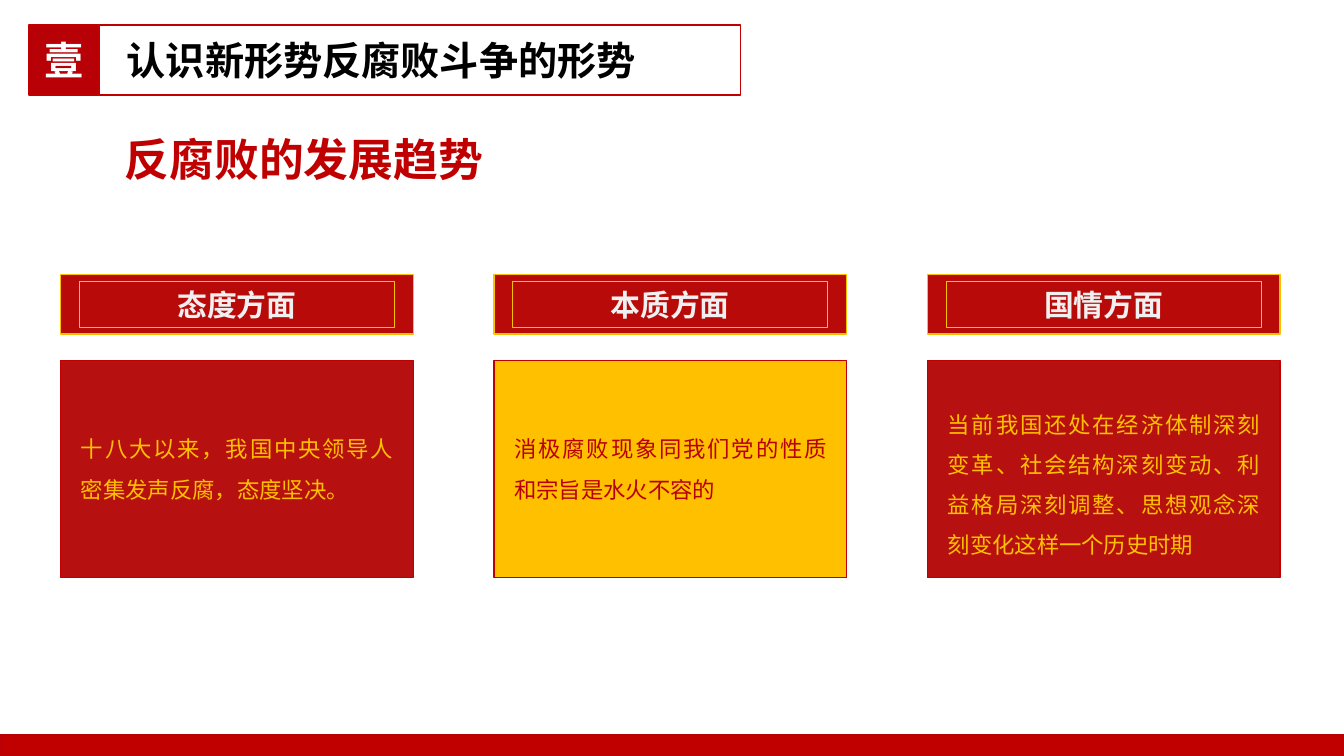
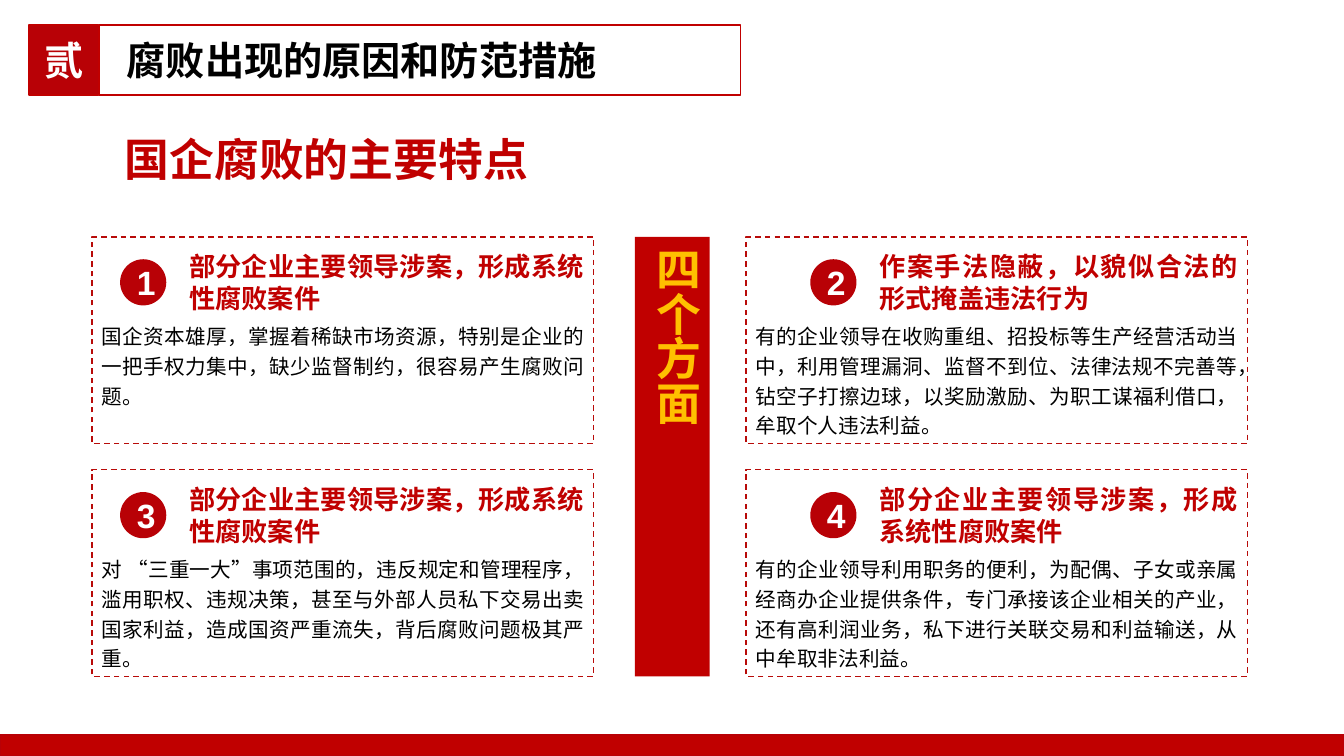
"""Build two slides on the trend and the features of corruption."""
from pptx import Presentation
from pptx.dml.color import RGBColor
from pptx.enum import dml, shapes, text
from pptx.util import Pt

RED, DEEP, BRICK, LABEL = "C00000", "B80106", "B61110", "B80B09"
GOLD, WHITE, PALE, BLACK = "FFC000", "FFFFFF", "F0F0F0", "000000"
RECT, OVAL = shapes.MSO_SHAPE.RECTANGLE, shapes.MSO_SHAPE.OVAL
LEFT, CENTER, JUSTIFY = text.PP_ALIGN.LEFT, text.PP_ALIGN.CENTER, text.PP_ALIGN.JUSTIFY
TOP, MIDDLE = text.MSO_ANCHOR.TOP, text.MSO_ANCHOR.MIDDLE
WIDTH, HEIGHT = 960, 540

STYLES = {
    "subtitle": dict(size=32, color=RED, bold=True),
    "numeral": dict(size=28, color=WHITE, bold=True, align=CENTER, anchor=MIDDLE),
    "title": dict(size=28, color=BLACK, bold=True, anchor=MIDDLE, inset=(20, 3.6)),
    "label": dict(size=21.3, color=PALE, bold=True, align=CENTER, anchor=MIDDLE),
    "panel": dict(size=16, color=GOLD, align=JUSTIFY, spacing=1.5, inset=(9.6, 4.8)),
    "heading": dict(size=18.7, color=RED, bold=True, align=JUSTIFY),
    "body": dict(size=14.7, color=BLACK, align=JUSTIFY, spacing=1.2),
    "badge": dict(size=24, color=WHITE, bold=True, align=CENTER, anchor=MIDDLE),
    "pillar": dict(size=32, color=GOLD, bold=True),
}

TRENDS = dict(
    numeral="壹", title="认识新形势反腐败斗争的形势", subtitle="反腐败的发展趋势",
    panels=[
        ("态度方面", "十八大以来，我国中央领导人密集发声反腐，态度坚决。", BRICK, GOLD, 296.6),
        ("本质方面", "消极腐败现象同我们党的性质和宗旨是水火不容的", GOLD, DEEP, 296.6),
        ("国情方面", "当前我国还处在经济体制深刻变革、社会结构深刻变动、利益格局深刻调整、"
         "思想观念深刻变化这样一个历史时期", BRICK, GOLD, 279),
    ])
FEATURES = dict(
    numeral="贰", title="腐败出现的原因和防范措施", subtitle="国企腐败的主要特点",
    pillar="四个方面",
    cards=[
        ("部分企业主要领导涉案，形成系统性腐败案件",
         "国企资本雄厚，掌握着稀缺市场资源，特别是企业的一把手权力集中，缺少监督制约，"
         "很容易产生腐败问题。"),
        ("作案手法隐蔽，以貌似合法的形式掩盖违法行为",
         "有的企业领导在收购重组、招投标等生产经营活动当中，利用管理漏洞、监督不到位、"
         "法律法规不完善等，钻空子打擦边球，以奖励激励、为职工谋福利借口，牟取个人违法利益。"),
        ("部分企业主要领导涉案，形成系统性腐败案件",
         "对 “三重一大”事项范围的，违反规定和管理程序，滥用职权、违规决策，"
         "甚至与外部人员私下交易出卖国家利益，造成国资严重流失，背后腐败问题极其严重。"),
        ("部分企业主要领导涉案，形成系统性腐败案件",
         "有的企业领导利用职务的便利，为配偶、子女或亲属经商办企业提供条件，"
         "专门承接该企业相关的产业，还有高利润业务，私下进行关联交易和利益输送，"
         "从中牟取非法利益。"),
    ])


def rgb(value):
    """Turn a hex string into a colour."""
    return RGBColor.from_string(value)


def write(box, words, style, **changes):
    """Put one styled paragraph into a box."""
    look = {**STYLES[style], **changes}
    side, edge = look.get("inset", (7.2, 3.6))
    frame = box.text_frame
    settings = dict(word_wrap=True, vertical_anchor=look.get("anchor", TOP),
                    margin_left=Pt(side), margin_right=Pt(7.2 if style == "title" else side),
                    margin_top=Pt(edge), margin_bottom=Pt(edge))
    for name, value in settings.items():
        setattr(frame, name, value)
    para = frame.paragraphs[0]
    para.alignment = look.get("align", LEFT)
    para.line_spacing = look.get("spacing", 1.0)
    span = para.add_run()
    span.text = words
    font = dict(name="Arial", size=Pt(look["size"]), bold=look.get("bold", False))
    for name, value in font.items():
        setattr(span.font, name, value)
    span.font.color.rgb = rgb(look["color"])


def add_shape(parent, area, fill=None, line=None, weight=1, dash=None, kind=RECT):
    """Add a flat shape with an optional fill and outline."""
    shape = parent.add_shape(kind, *map(Pt, area))
    shape.shadow.inherit = False
    if fill:
        shape.fill.solid()
        shape.fill.fore_color.rgb = rgb(fill)
    else:
        shape.fill.background()
    if line:
        shape.line.color.rgb = rgb(line)
        shape.line.width = Pt(weight)
        shape.line.dash_style = dash
    else:
        shape.line.fill.background()
    return shape


def add_text(parent, area, words, style, **changes):
    """Add a styled text box."""
    write(parent.add_textbox(*map(Pt, area)), words, style, **changes)


def add_page(deck, content):
    """Add a page with the shared band, title bar and subtitle."""
    parts = deck.slides.add_slide(deck.slide_layouts[6]).shapes
    add_shape(parts, (0, 525, WIDTH, 15), RED, DEEP)
    add_text(parts, (82, 90.7, 400, 46), content["subtitle"], "subtitle")
    write(add_shape(parts, (20.6, 18, 50, 50), DEEP, RED), content["numeral"], "numeral")
    write(add_shape(parts, (70.6, 18, 458.6, 50), None, RED), content["title"], "title")
    return parts


def add_panels(parts, panels):
    """Lay out labelled panels in equal columns."""
    left, pitch, width = 43.2, 309.6, 252
    for index, (label, words, fill, color, top) in enumerate(panels):
        x = left + index * pitch
        add_shape(parts, (x, 257.7, width, 155), fill, RED)
        add_text(parts, (x + 5, top, 242.6, 126), words, "panel", color=color)
        group = parts.add_group_shape().shapes
        add_shape(group, (x, 196, width, 42.5), LABEL, GOLD)
        inner = add_shape(group, (x + 13.5, 201, width - 27, 33), None, GOLD, 0.75)
        write(inner, label, "label")


def add_cards(parts, cards):
    """Lay out numbered cards in two rows of two."""
    columns = [(65.8, 20), (532.8, 46)]
    top, pitch, width, height = 169.2, 166.3, 358.4, 147.6
    for index, (heading, words) in enumerate(cards):
        row, column = divmod(index, 2)
        x, indent = columns[column]
        y = top + row * pitch
        shift = indent + 42.4
        group = parts.add_group_shape().shapes
        add_text(group, (x + shift, y + 6.3, width - shift, 52.6), heading, "heading")
        add_text(group, (x, y + 55.4, width, 93), words, "body")
        add_shape(group, (x, y, width, height), None, LABEL,
                  dash=dml.MSO_LINE.DASH)
        badge = add_shape(group, (x + indent, y + 16, 33, 33), DEEP, kind=OVAL)
        write(badge, str(index + 1), "badge")


def add_pillar(parts, words):
    """Add the upright bar between the card columns."""
    pillar = add_shape(parts, (453.6, 169.2, 53.3, 313.9), RED)
    write(pillar, words, "pillar")
    pillar.text_frame._txBody.bodyPr.set("vert", "eaVert")


def main():
    """Build and save the deck."""
    deck = Presentation()
    deck.slide_width, deck.slide_height = Pt(WIDTH), Pt(HEIGHT)
    add_panels(add_page(deck, TRENDS), TRENDS["panels"])
    parts = add_page(deck, FEATURES)
    add_cards(parts, FEATURES["cards"])
    add_pillar(parts, FEATURES["pillar"])
    deck.save("out.pptx")


if __name__ == "__main__":
    main()
